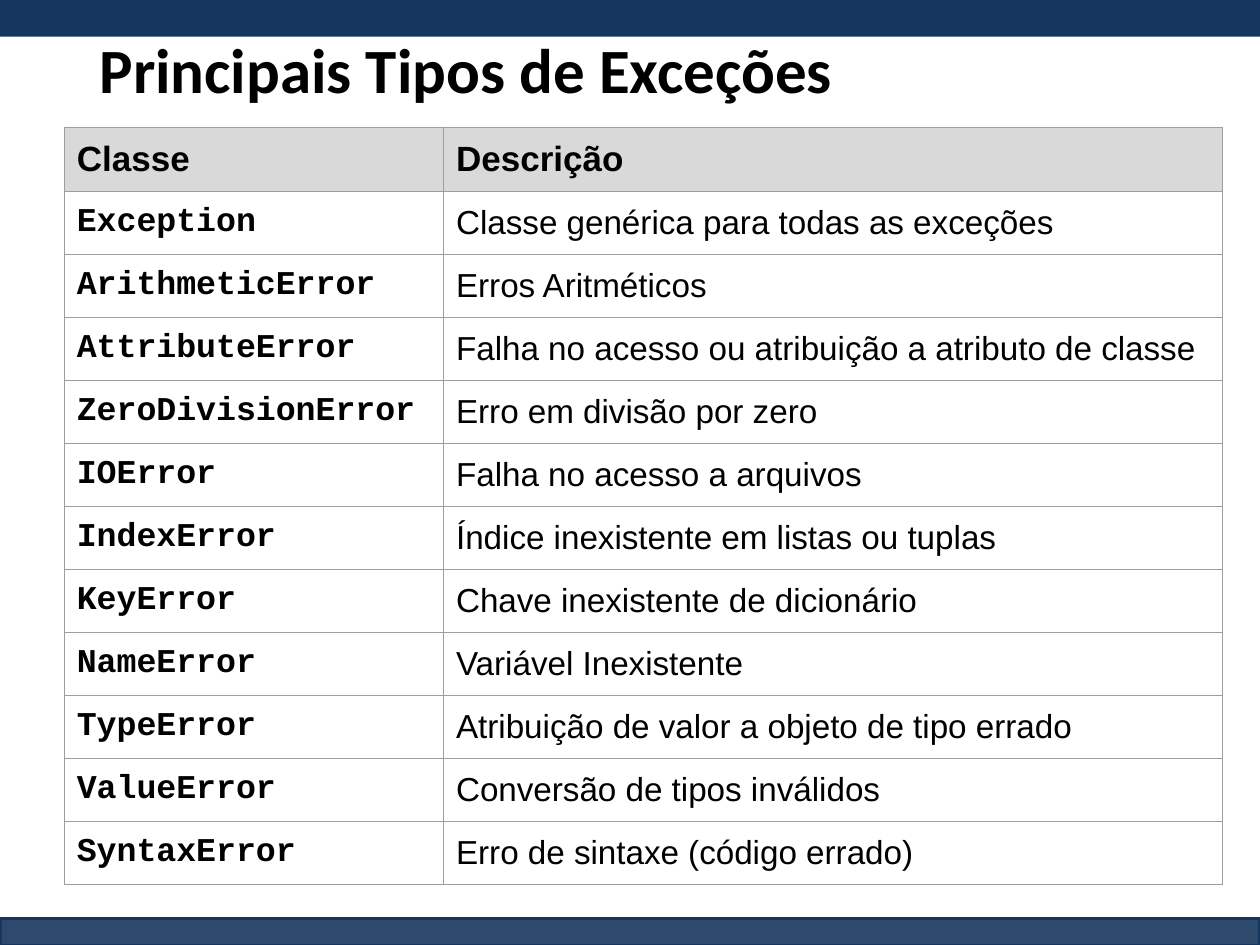
from dataclasses import dataclass

from lxml import etree
from pptx import Presentation
from pptx.dml.color import RGBColor
from pptx.enum.shapes import MSO_SHAPE
from pptx.enum.text import MSO_ANCHOR, MSO_AUTO_SIZE, PP_ALIGN
from pptx.oxml.ns import qn
from pptx.util import Inches, Pt

RECTANGLE = MSO_SHAPE.RECTANGLE
LEFT = PP_ALIGN.LEFT
TOP, MIDDLE = MSO_ANCHOR.TOP, MSO_ANCHOR.MIDDLE
NO_AUTOFIT = MSO_AUTO_SIZE.NONE
TITLE_ONLY = 5


@dataclass(frozen=True)
class Theme:
    """Colours, fonts and type sizes of the slide."""
    band: str = "17365D"
    ink: str = "000000"
    header: str = "D9D9D9"
    border: str = "9E9E9E"
    title_font: str = "Calibri"
    text_font: str = "Arial"
    code_font: str = "Courier New"
    title_size: float = 36
    header_size: float = 20
    row_size: float = 19


THEME = Theme()
HEADINGS = ("Classe", "Descrição")
EXCEPTIONS = [
    ("Exception", "Classe genérica para todas as exceções"),
    ("ArithmeticError", "Erros Aritméticos"),
    ("AttributeError", "Falha no acesso ou atribuição a atributo de classe"),
    ("ZeroDivisionError", "Erro em divisão por zero"),
    ("IOError", "Falha no acesso a arquivos"),
    ("IndexError", "Índice inexistente em listas ou tuplas"),
    ("KeyError", "Chave inexistente de dicionário"),
    ("NameError", "Variável Inexistente"),
    ("TypeError", "Atribuição de valor a objeto de tipo errado"),
    ("ValueError", "Conversão de tipos inválidos"),
    ("SyntaxError", "Erro de sintaxe (código errado)"),
]


def apply(target, values):
    """Set each attribute in values on target."""
    for name, value in values.items():
        setattr(target, name, value)


def write(holder, text, font, size, bold):
    """Put one left-aligned paragraph of formatted text in holder."""
    paragraph = holder.text_frame.paragraphs[0]
    paragraph.alignment = LEFT
    run = paragraph.add_run()
    run.text = text
    apply(run.font, {"name": font, "size": Pt(size), "bold": bold})
    run.font.color.rgb = RGBColor.from_string(THEME.ink)
    return paragraph


def add_band(slide, box, opacity=None):
    """Draw a full-width band, translucent and outlined if opacity is given."""
    band = slide.shapes.add_shape(RECTANGLE, *box)
    band.shadow.inherit = False
    colour = RGBColor.from_string(THEME.band)
    band.fill.solid()
    band.fill.fore_color.rgb = colour
    if opacity is None:
        band.line.fill.background()
        return
    band.line.color.rgb = colour
    band.line.width = Pt(2)
    fill_colour = band.fill._xPr.find(qn("a:solidFill"))[0]
    etree.SubElement(fill_colour, qn("a:alpha"), val=str(opacity * 1000))


def add_title(slide, box, text):
    """Place and format the title placeholder in box."""
    title = slide.shapes.title
    apply(title, dict(zip(("left", "top", "width", "height"), box)))
    apply(title.text_frame, {"vertical_anchor": MIDDLE, "word_wrap": True,
                             "auto_size": NO_AUTOFIT})
    heading = write(title, text, THEME.title_font, THEME.title_size, True)
    heading.line_spacing = 0.9


def add_borders(cell):
    """Draw a thin border on each side of cell."""
    properties = cell._tc.get_or_add_tcPr()
    for side in ("a:lnL", "a:lnR", "a:lnT", "a:lnB"):
        line = etree.SubElement(properties, qn(side), w=str(Pt(0.75)))
        fill = etree.SubElement(line, qn("a:solidFill"))
        etree.SubElement(fill, qn("a:srgbClr"), val=THEME.border)


def format_cell(cell, is_header):
    """Set the margins, borders and fill of cell."""
    margins = ("margin_left", "margin_top", "margin_right", "margin_bottom")
    apply(cell, dict.fromkeys(margins, Inches(0.1)))
    cell.vertical_anchor = TOP
    add_borders(cell)
    if is_header:
        cell.fill.solid()
        cell.fill.fore_color.rgb = RGBColor.from_string(THEME.header)
    else:
        cell.fill.background()


def add_exception_table(slide, box, class_width):
    """Build the table of exception classes and descriptions in box."""
    rows = [HEADINGS, *EXCEPTIONS]
    table = slide.shapes.add_table(len(rows), len(HEADINGS), *box).table
    apply(table, {"first_row": False, "horz_banding": False})
    for column, width in zip(table.columns, (class_width, box[2] - class_width)):
        column.width = width
    for row_index, entries in enumerate(rows):
        is_header = row_index == 0
        size = THEME.header_size if is_header else THEME.row_size
        for column_index, text in enumerate(entries):
            is_class = column_index == 0
            is_code = is_class and not is_header
            font = THEME.code_font if is_code else THEME.text_font
            cell = table.cell(row_index, column_index)
            format_cell(cell, is_header)
            write(cell, text, font, size, is_header or is_class)


def main():
    """Build and save the slide."""
    deck = Presentation()
    apply(deck, {"slide_width": Inches(10), "slide_height": Inches(7.5)})
    slide = deck.slides.add_slide(deck.slide_layouts[TITLE_ONLY])
    add_band(slide, (0, Inches(7.29), deck.slide_width, Inches(0.22)), opacity=90)
    add_band(slide, (0, 0, deck.slide_width, Inches(0.29)))
    add_title(slide, (Inches(0.69), Inches(0.19), Inches(8.62), Inches(0.78)),
              "Principais Tipos de Exceções")
    add_exception_table(
        slide, (Inches(0.51), Inches(1.01), Inches(9.19), Inches(6)), Inches(3.01))
    deck.save("out.pptx")


if __name__ == "__main__":
    main()
